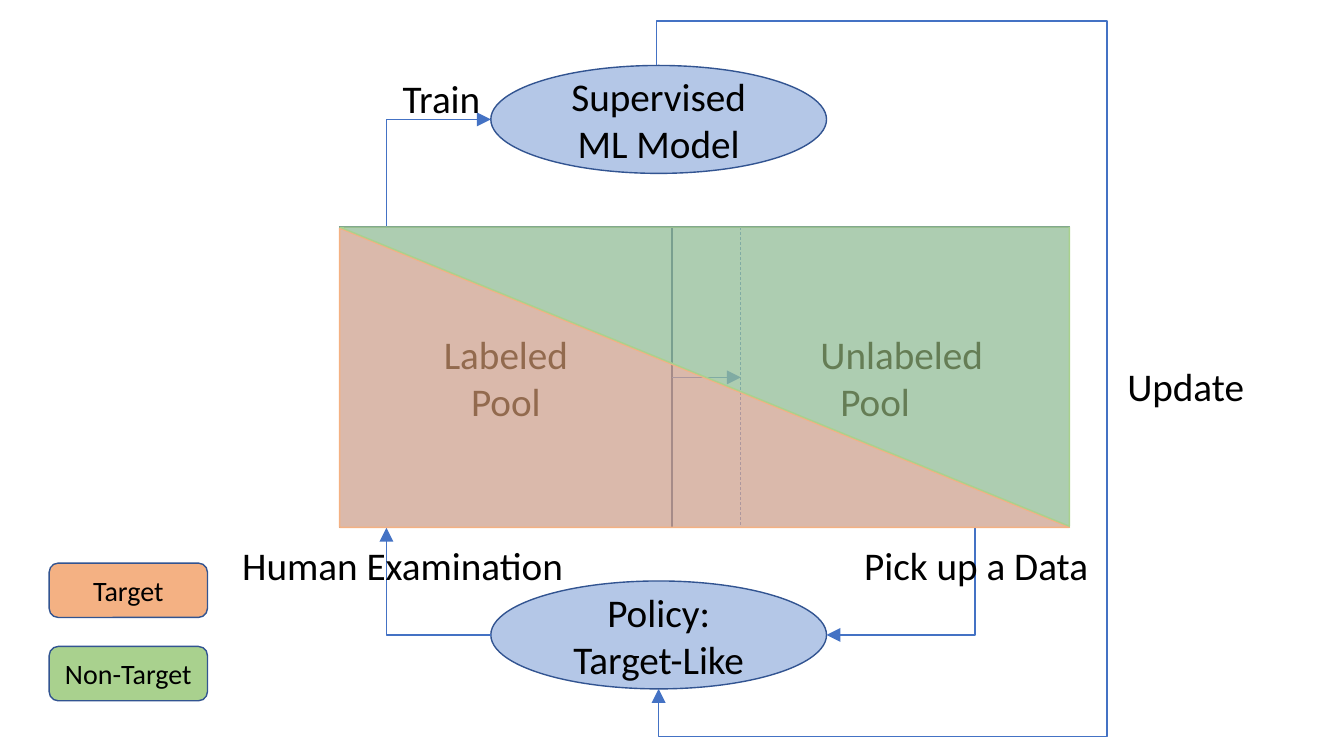
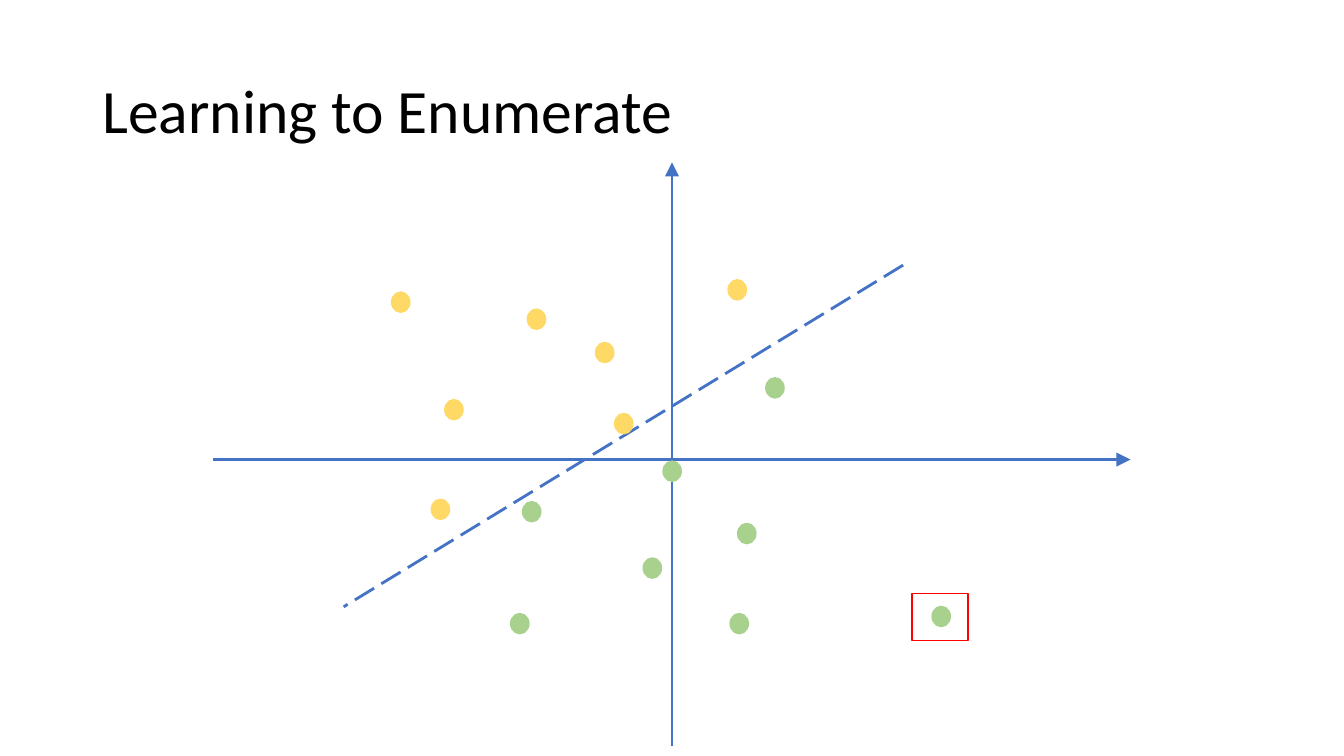
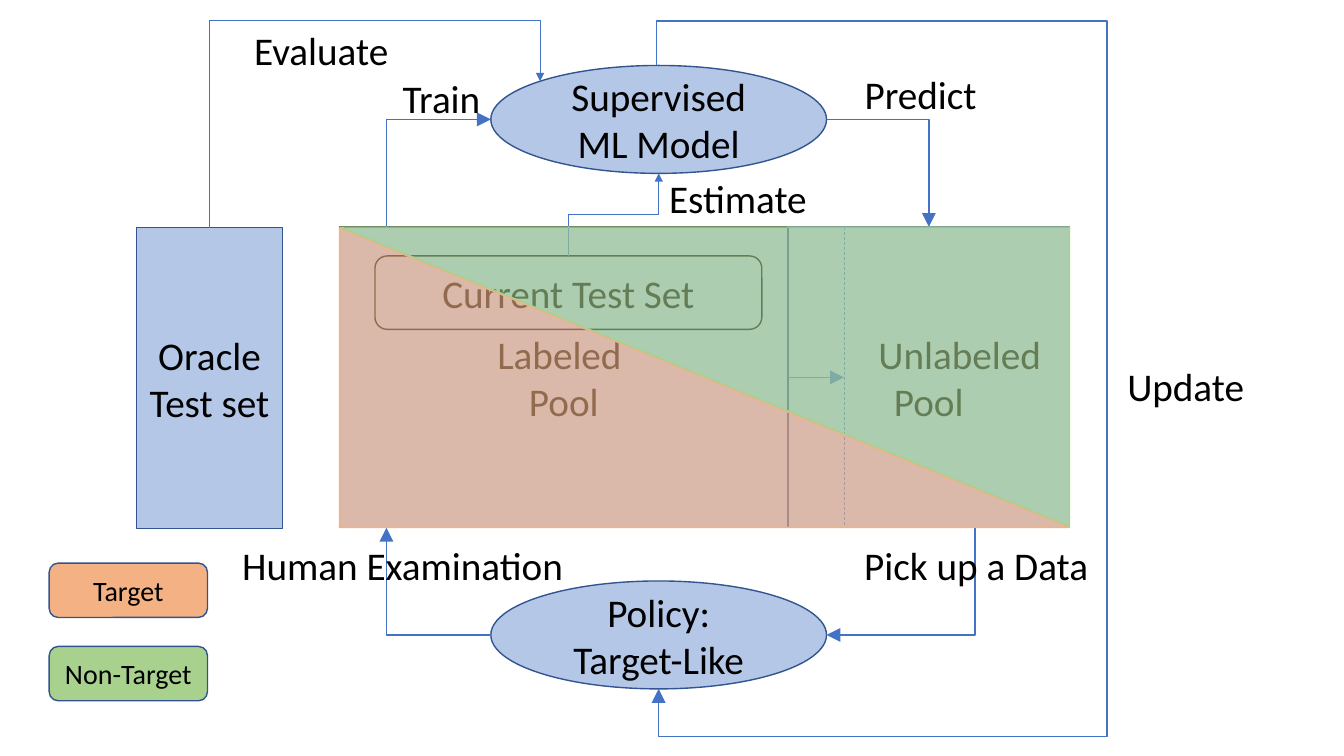
from dataclasses import dataclass
from math import copysign

from lxml import etree
from pptx import Presentation
from pptx import util as u
from pptx.dml.color import RGBColor
from pptx.enum import dml, shapes, text
from pptx.oxml.ns import qn

COLORS = {
    "pool": "B4C7E7",
    "outline": "325491",
    "arrow": "4472C4",
    "target": "F4B183",
    "nontarget": "A9D18E",
    "yellow": "FFD966",
    "mark": "FF0000",
    "black": "000000",
}
FONT = "Calibri"
KIND = shapes.MSO_SHAPE
LINK = shapes.MSO_CONNECTOR


@dataclass
class Box:
    x: float
    y: float
    w: float
    h: float

    @property
    def right(self):
        return self.x + self.w

    @property
    def bottom(self):
        return self.y + self.h

    @property
    def cx(self):
        return self.x + self.w / 2

    @property
    def cy(self):
        return self.y + self.h / 2

    def inner(self, dx, dy, w, h):
        return Box(self.x + dx, self.y + dy, w, h)

    def emu(self):
        return [u.Cm(v) for v in (self.x, self.y, self.w, self.h)]


def rgb(name):
    return RGBColor.from_string(COLORS[name])


def write(tf, lines, size=28, align=text.PP_ALIGN.CENTER, indents=()):
    for i, line in enumerate(lines):
        p = tf.paragraphs[0] if i == 0 else tf.add_paragraph()
        p.alignment = align
        if indents:
            p._p.get_or_add_pPr().set("marL", str(u.Cm(indents[i])))
        r = p.add_run()
        r.text = line
        r.font.size = u.Pt(size)
        r.font.name = FONT
        r.font.color.rgb = rgb("black")


def add_shape(slide, kind, box, fill, line="outline", lines=(), size=28, indents=()):
    sp = slide.shapes.add_shape(kind, *box.emu())
    sp.shadow.inherit = False
    if fill:
        sp.fill.solid()
        sp.fill.fore_color.rgb = rgb(fill)
    else:
        sp.fill.background()
    sp.line.color.rgb = rgb(line)
    sp.line.width = u.Pt(1)
    sp.text_frame.vertical_anchor = text.MSO_ANCHOR.MIDDLE
    write(sp.text_frame, lines, size, indents=indents)
    return sp


def add_label(slide, box, words):
    tf = slide.shapes.add_textbox(*box.emu()).text_frame
    tf.word_wrap = False
    tf.auto_size = text.MSO_AUTO_SIZE.SHAPE_TO_FIT_TEXT
    write(tf, [words])


def add_line(slide, start, end, width=1, dash=None, arrow=False, link=LINK.STRAIGHT):
    points = [u.Cm(v) for v in (*start, *end)]
    line = slide.shapes.add_connector(link, *points)
    line.line.color.rgb = rgb("arrow")
    line.line.width = u.Pt(width)
    if dash:
        line.line.dash_style = dash
    sp_pr = line._element.spPr
    if arrow:
        size = "lg" if width >= 1 else "med"
        etree.SubElement(sp_pr.get_or_add_ln(), qn("a:tailEnd"),
                         type="triangle", w=size, len=size)
    etree.SubElement(sp_pr, qn("a:effectLst"))
    return line


def add_elbow(slide, start, end, kind, vertical=False, adjust=(), width=1):
    if vertical:
        (x1, y1), (x2, y2) = start, end
        cx, cy = (x1 + x2) / 2, (y1 + y2) / 2
        half_w = copysign(abs(y2 - y1) / 2, y2 - y1)
        half_h = copysign(abs(x2 - x1) / 2, x1 - x2)
        start, end = (cx - half_w, cy - half_h), (cx + half_w, cy + half_h)
    elbow = add_line(slide, start, end, width, arrow=True, link=LINK.ELBOW)
    sp_pr = elbow._element.spPr
    if vertical:
        sp_pr.find(qn("a:xfrm")).set("rot", "5400000")
    geometry = sp_pr.find(qn("a:prstGeom"))
    geometry.set("prst", f"bentConnector{kind}")
    guides = geometry.find(qn("a:avLst"))
    if guides is None:
        guides = etree.SubElement(geometry, qn("a:avLst"))
    for i, share in enumerate(adjust, 1):
        etree.SubElement(guides, qn("a:gd"), name=f"adj{i}" if len(adjust) > 1 else "adj1",
                         fmla=f"val {round(share * 100000)}")


def draw_pools(slide, box, split, step, outline, labeled_lines, indents):
    labeled = add_shape(slide, KIND.RECTANGLE, box.inner(0, 0, split, box.h),
                        "pool", outline, labeled_lines)
    add_shape(slide, KIND.RECTANGLE, box.inner(split, 0, box.w - split, box.h),
              "pool", lines=["Unlabeled", "Pool"], indents=indents)
    x = box.x + split
    add_line(slide, (x + step, box.y), (x + step, box.bottom), 0.5, dml.MSO_LINE.DASH)
    move = add_line(slide, (x, box.cy), (x + step, box.cy), arrow=True)
    move.begin_connect(labeled, 3)


def draw_cycle(slide, box):
    model = box.inner(3.81, -4.07, 8.46, 2.72)
    policy = box.inner(3.81, 8.92, 8.46, 2.72)
    add_shape(slide, KIND.OVAL, model, "pool", lines=["Supervised", "ML Model"])
    add_shape(slide, KIND.OVAL, policy, "pool", lines=["Policy:", "Target-Like"])
    left, right = box.x + 1.18, box.right - 2.38
    add_elbow(slide, (policy.x, policy.cy), (left, box.bottom), 2)
    add_elbow(slide, (right, box.bottom), (policy.right, policy.cy), 2, vertical=True)
    add_elbow(slide, (left, box.y), (model.x, model.cy), 2, vertical=True)

    outer, top, bottom = box.right + 0.95, box.y - 5.19, box.bottom + 5.26
    shift = 0.05
    exit_x, rise = model.cx - shift, policy.bottom - model.y
    add_elbow(slide, (exit_x, model.y), (policy.cx, policy.bottom), 5, vertical=True,
              adjust=((top - model.y) / rise, (outer - exit_x) / shift,
                      (bottom - model.y) / rise))
    for words, dx, dy, w in (
        ("Update", 19.58, 3.28, 3.48),
        ("Human Examination", -2.76, 7.79, 8.69),
        ("Train", 1.32, -3.97, 2.49),
        ("Pick up a Data", 12.93, 7.79, 6.22),
    ):
        add_label(slide, box.inner(dx, dy, w, 1.45), words)
    return model


def draw_testing(slide, box, model):
    oracle = box.inner(-5.12, 0.02, 3.68, box.h)
    current = box.inner(0.89, 0.73, 9.75, 1.85)
    add_shape(slide, KIND.RECTANGLE, oracle, "pool", lines=["Oracle", "Test set"])
    add_shape(slide, KIND.ROUNDED_RECTANGLE, current, "pool", "black", ["Current Test Set"])
    top, entry = box.y - 5.2, (model.x + 1.24, model.y + 0.4)
    add_elbow(slide, (oracle.cx, oracle.y), entry, 3, vertical=True, width=0.5,
              adjust=((oracle.y - top) / (oracle.y - entry[1]),))
    add_elbow(slide, (current.cx, current.y), (model.cx, model.bottom), 3,
              vertical=True, width=0.5, adjust=(0.5,))
    add_elbow(slide, (model.right, model.cy), (model.right + 2.58, box.y), 2)
    for words, dx, dy, w in (
        ("Evaluate", -2.42, -5.19, 3.91),
        ("Estimate", 8.03, -1.45, 4.01),
        ("Predict", 12.95, -4.07, 3.38),
    ):
        add_label(slide, box.inner(dx, dy, w, 1.45), words)


def draw_shares(slide, box):
    for color, turn, dy in (("target", 0, 0.03), ("nontarget", 180, 0)):
        part = box.inner(0, dy, box.w, box.h - 0.04)
        sp = add_shape(slide, KIND.ISOSCELES_TRIANGLE, part, color, color)
        sp.adjustments[0] = 0
        sp.rotation = turn
        fill = sp._element.spPr.find(qn("a:solidFill")).find(qn("a:srgbClr"))
        etree.SubElement(fill, qn("a:alpha"), val="60000")


def draw_legend(slide, box):
    height = 1.37
    for i, (words, color) in enumerate((("Target", "target"), ("Non-Target", "nontarget"))):
        entry = box.inner(0, i * (box.h - height), box.w, height)
        add_shape(slide, KIND.ROUNDED_RECTANGLE, entry, color, lines=[words], size=20)


def draw_title(slide, box, words):
    tf = slide.shapes.add_textbox(*box.emu()).text_frame
    tf.word_wrap = True
    tf.vertical_anchor = text.MSO_ANCHOR.MIDDLE
    write(tf, [words], 44, text.PP_ALIGN.LEFT)
    tf.paragraphs[0].line_spacing = 0.9


def draw_plot(slide, box):
    axis_y = box.y + 7.49
    add_line(slide, (box.x, axis_y), (box.right, axis_y), 2, arrow=True)
    add_line(slide, (box.cx, box.bottom), (box.cx, box.y), 2, arrow=True)
    add_line(slide, (box.x + 17.38, box.y + 2.59), (box.x + 3.28, box.y + 11.2), 2,
             dml.MSO_LINE.LONG_DASH)
    dots = {
        "yellow": [(7.91, 3.7), (5.83, 5.98), (12.97, 2.96), (10.11, 6.33),
                   (5.49, 8.49), (4.49, 3.27), (9.63, 4.54)],
        "nontarget": [(13.92, 5.43), (7.79, 8.55), (18.11, 11.19), (7.49, 11.37),
                      (13.21, 9.1), (10.83, 9.97), (13.02, 11.37), (11.33, 7.53)],
    }
    for color, places in dots.items():
        for dx, dy in places:
            add_shape(slide, KIND.OVAL, box.inner(dx, dy, 0.46, 0.51), color, color)
    add_shape(slide, KIND.RECTANGLE, box.inner(17.6, 10.86, 1.42, 1.19), None, "mark")


def build_process(slide, split, step, outline, labeled_lines, indents, testing=False):
    pool = Box(8.56, 5.72, 18.39, 7.58)
    draw_pools(slide, pool, split, step, outline, labeled_lines, indents)
    model = draw_cycle(slide, pool)
    if testing:
        draw_testing(slide, pool, model)
    draw_shares(slide, pool)
    draw_legend(slide, Box(1.24, 14.19, 3.99, 3.47))


def build_plot(slide):
    draw_title(slide, Box(2.33, 1.01, 29.21, 3.68), "Learning to Enumerate")
    draw_plot(slide, Box(5.38, 4.09, 23.11, 14.71))


def main():
    prs = Presentation()
    prs.slide_width, prs.slide_height = u.Cm(33.87), u.Cm(19.05)
    first, second, third = (prs.slides.add_slide(prs.slide_layouts[6]) for _ in range(3))
    build_process(first, 8.38, 1.73, "outline", ["Labeled", "Pool"], (1.56, 0.22))
    build_plot(second)
    build_process(third, 11.3, 1.41, "black", ["Labeled ", "Pool"], (1.56, 0), testing=True)
    prs.save("out.pptx")


if __name__ == "__main__":
    main()
